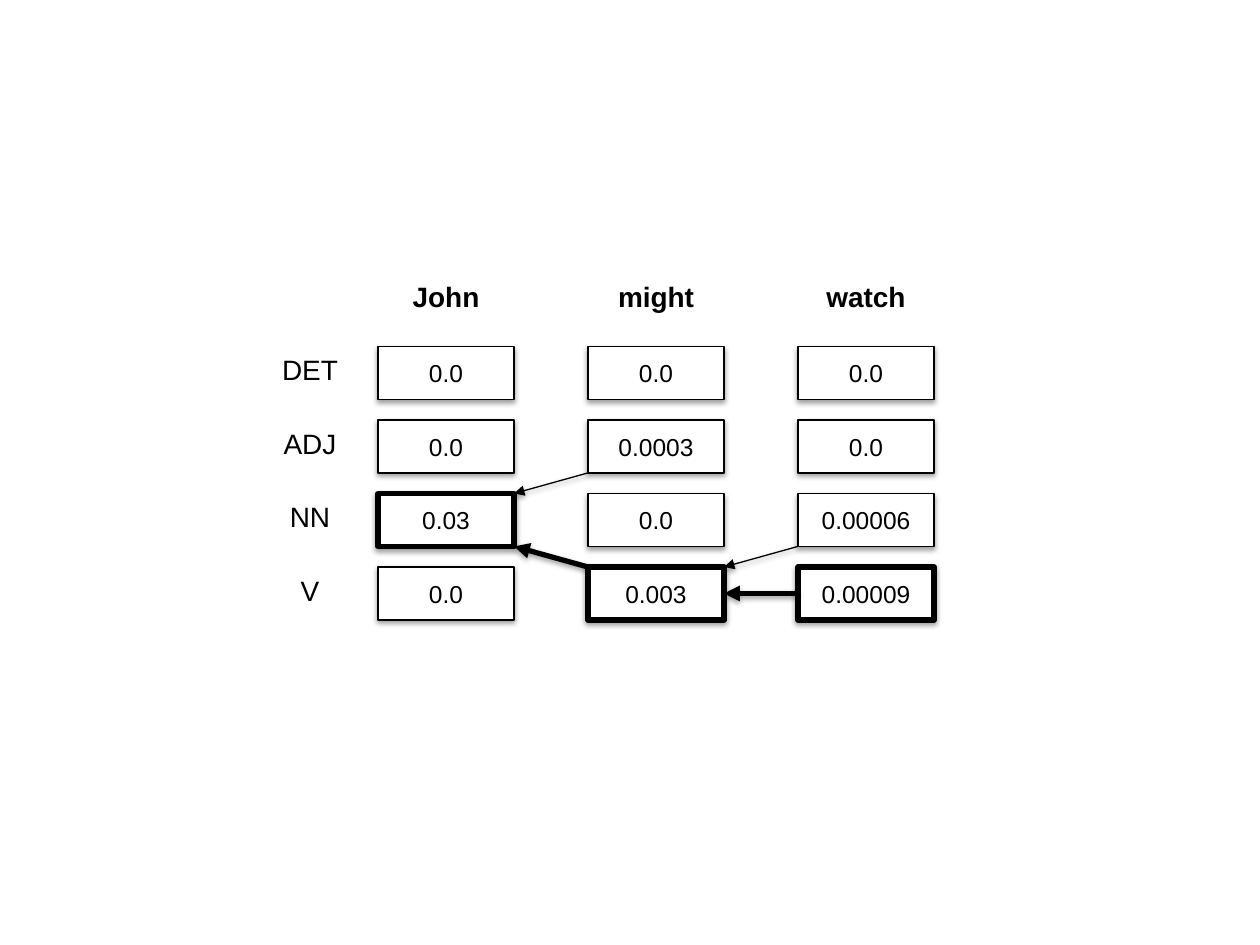
"""Build a tagging trellis slide with word columns, tag rows and back pointers."""
from lxml import etree
from pptx import Presentation
from pptx.dml.color import RGBColor
from pptx.enum.shapes import MSO_CONNECTOR, MSO_SHAPE
from pptx.enum.text import MSO_ANCHOR, PP_ALIGN
from pptx.oxml.ns import qn
from pptx.util import Inches, Pt

BLACK = RGBColor(0, 0, 0)
WHITE = RGBColor(255, 255, 255)
RECTANGLE = MSO_SHAPE.RECTANGLE
STRAIGHT = MSO_CONNECTOR.STRAIGHT
CENTER = PP_ALIGN.CENTER
TOP, MIDDLE = MSO_ANCHOR.TOP, MSO_ANCHOR.MIDDLE
LEFT_SIDE, RIGHT_SIDE = 1, 3

THIN, THICK = 0.75, 3
GRID_LEFT, GRID_TOP = 3, 2.75
COLUMN_STEP, ROW_STEP = 5 / 3, 7 / 12
CELL_WIDTH, CELL_HEIGHT = 1.08, 0.42
TAG_LEFT, TAG_WIDTH = 2, 0.92
WORD_TOP = GRID_TOP - ROW_STEP

TAGS = ["DET", "ADJ", "NN", "V"]
SCORES = {
    "John": ["0.0", "0.0", "0.03", "0.0"],
    "might": ["0.0", "0.0003", "0.0", "0.003"],
    "watch": ["0.0", "0.0", "0.00006", "0.00009"],
}
BEST_PATH = {("John", "NN"), ("might", "V"), ("watch", "V")}
POINTERS = [
    (("watch", "V"), ("might", "V")),
    (("might", "V"), ("John", "NN")),
    (("watch", "NN"), ("might", "V")),
    (("might", "ADJ"), ("John", "NN")),
]


class Trellis:
    """Holds the text style and the current page."""

    def __init__(self, page):
        self.page = page
        self.font = {"name": "Arial", "size": Pt(14), "bold": False}

    def add_box(self, text, left, top, width, anchor, **font):
        """Add a white rectangle with centred text."""
        box = self.page.shapes.add_shape(
            RECTANGLE, Inches(left), Inches(top), Inches(width), Inches(CELL_HEIGHT))
        box.fill.solid()
        box.fill.fore_color.rgb = WHITE
        box.text_frame.vertical_anchor = anchor
        para = box.text_frame.paragraphs[0]
        para.alignment = CENTER
        span = para.add_run()
        span.text = text
        for name, value in {**self.font, **font}.items():
            setattr(span.font, name, value)
        span.font.color.rgb = BLACK
        return box

    def add_label(self, text, left, top, width, bold=False):
        """Add a heading without outline or shadow."""
        box = self.add_box(text, left, top, width, TOP, size=Pt(16), bold=bold)
        box.line.fill.background()
        box.shadow.inherit = False

    def add_cell(self, text, left, top, weight):
        """Add an outlined score cell."""
        box = self.add_box(text, left, top, CELL_WIDTH, MIDDLE)
        self.outline(box, weight)
        return box

    def add_pointer(self, start, end, weight):
        """Add an arrow from the left of one cell to the right of another."""
        if start.top == end.top:
            start_y = end_y = start.top + start.height // 2
        elif start.top > end.top:
            start_y, end_y = start.top, end.top + end.height
        else:
            start_y, end_y = start.top + start.height, end.top
        arrow = self.page.shapes.add_connector(
            STRAIGHT, start.left, start_y, end.left + end.width, end_y)
        if start.top == end.top:
            arrow.begin_connect(start, LEFT_SIDE)
            arrow.end_connect(end, RIGHT_SIDE)
        self.outline(arrow, weight, arrowhead=True)

    def outline(self, shape, weight, arrowhead=False):
        """Give a shape a black line and a soft shadow below it."""
        shape.line.color.rgb = BLACK
        shape.line.width = Pt(weight)
        properties = shape._element.spPr
        if arrowhead:
            line = properties.find(qn("a:ln"))
            etree.SubElement(line, qn("a:tailEnd"), type="triangle")
        effects = etree.SubElement(properties, qn("a:effectLst"))
        shadow = etree.SubElement(
            effects, qn("a:outerShdw"), blurRad="40000", dist="20000",
            dir="5400000", rotWithShape="0")
        color = etree.SubElement(shadow, qn("a:srgbClr"), val=str(BLACK))
        etree.SubElement(color, qn("a:alpha"), val="38000")


def main():
    deck = Presentation()
    deck.slide_width, deck.slide_height = Inches(10), Inches(7.5)
    trellis = Trellis(deck.slides.add_slide(deck.slide_layouts[6]))
    row_tops = [GRID_TOP + row * ROW_STEP for row in range(len(TAGS))]

    cells = {}
    for column, (word, scores) in enumerate(SCORES.items()):
        left = GRID_LEFT + column * COLUMN_STEP
        trellis.add_label(word, left, WORD_TOP, CELL_WIDTH, bold=True)
        for tag, score, top in zip(TAGS, scores, row_tops):
            weight = THICK if (word, tag) in BEST_PATH else THIN
            cells[word, tag] = trellis.add_cell(score, left, top, weight)

    for tag, top in zip(TAGS, row_tops):
        trellis.add_label(tag, TAG_LEFT, top, TAG_WIDTH)

    for start, end in POINTERS:
        weight = THICK if {start, end} <= BEST_PATH else THIN
        trellis.add_pointer(cells[start], cells[end], weight)

    deck.save("out.pptx")


if __name__ == "__main__":
    main()
